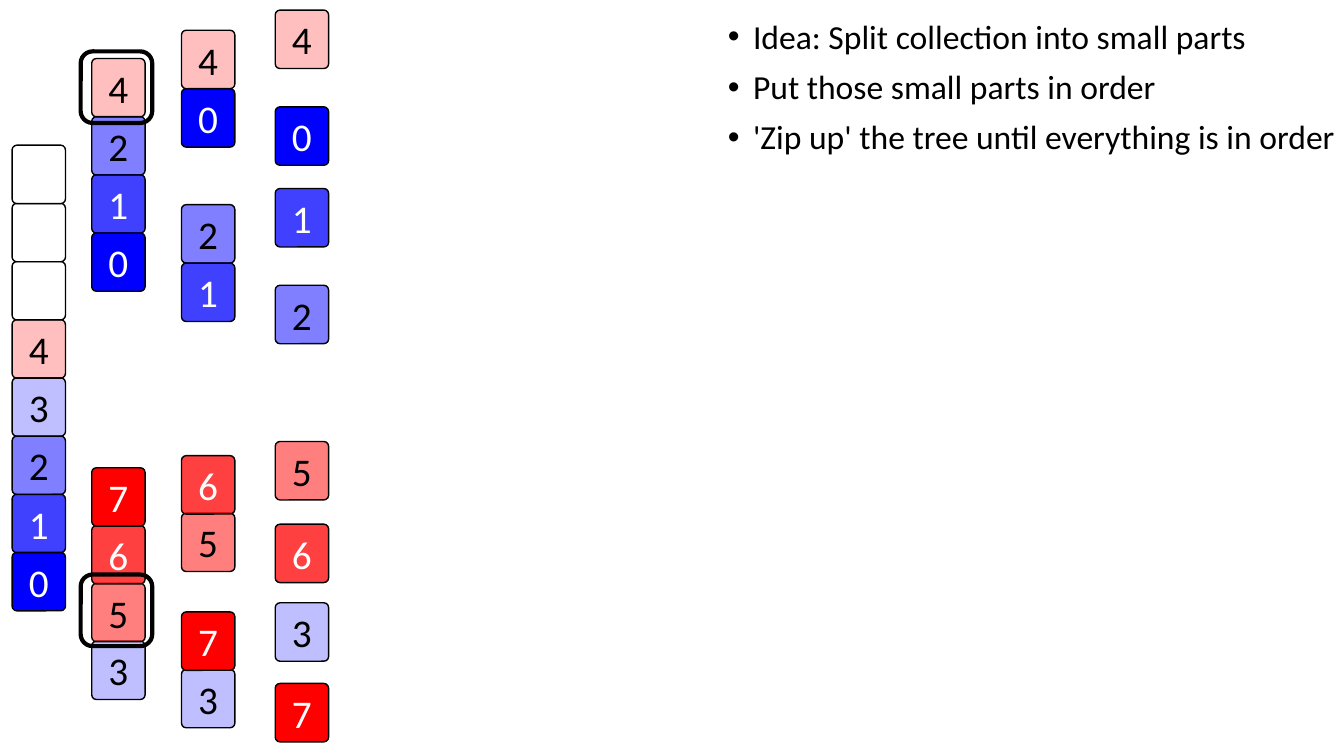
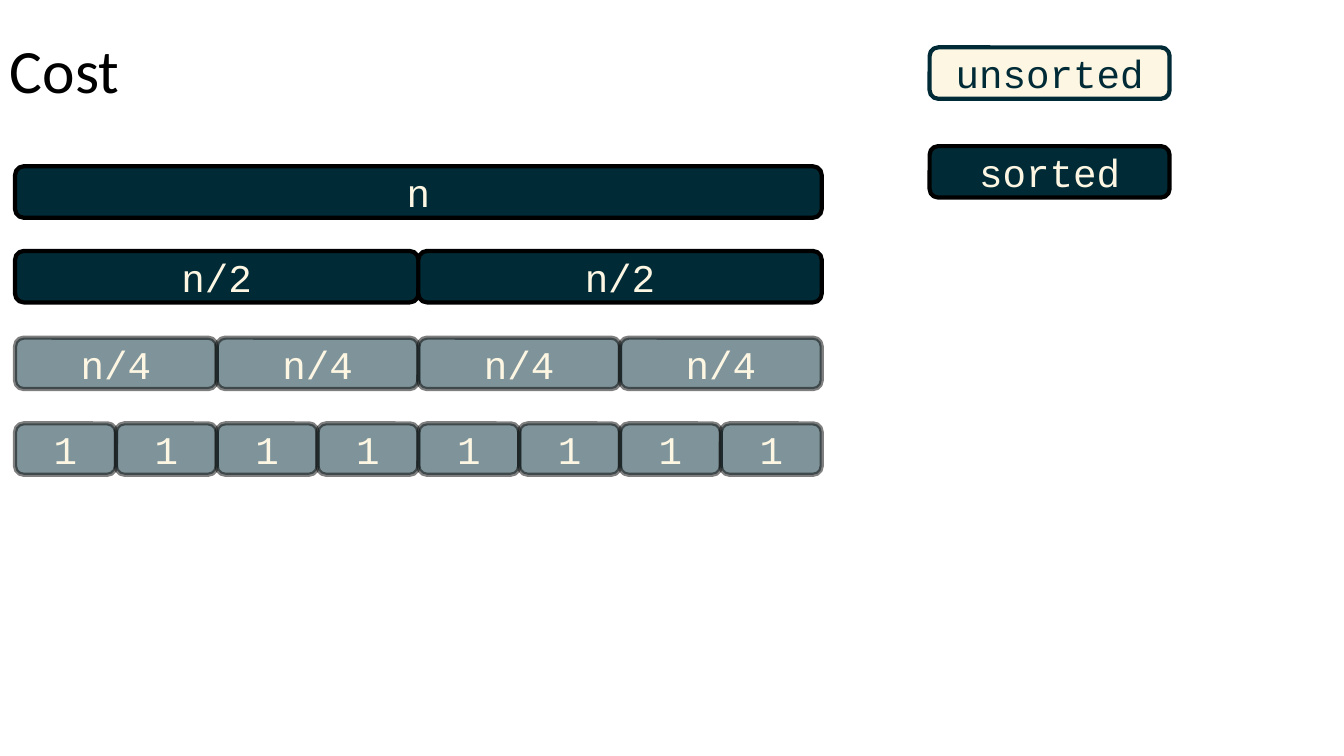
from lxml import etree
from pptx import Presentation
from pptx.dml.color import RGBColor
from pptx.enum import shapes, text
from pptx.oxml.ns import qn
from pptx.util import Inches, Pt

COLORS = {
    "black": "000000",
    "white": "FFFFFF",
    "low": "0000FF",
    "high": "FF0000",
    "dark": "002B36",
    "cream": "FDF6E3",
}
BODY_FONT = "Calibri"
CODE_FONT = "Courier New"
LABEL_SIZE = 28
TILE_WIDTH, TILE_HEIGHT = 0.53, 0.58
BAR_HEIGHT = 0.51

# Each stack: left, top of first tile, top of last tile, values (None is an empty tile)
STACKS = [
    (0.12, 1.44, 5.48, [None, None, None, 4, 3, 2, 1, 0]),
    (0.91, 0.58, 2.31, [4, 2, 1, 0]),
    (0.91, 4.64, 6.36, [7, 6, 5, 3]),
    (1.8, 0.3, 0.88, [4, 0]),
    (1.8, 2.03, 2.61, [2, 1]),
    (1.8, 4.52, 5.09, [6, 5]),
    (1.8, 6.07, 6.64, [7, 3]),
]
SINGLE_LEFT = 2.73
SINGLES = {4: 0.1, 0: 1.06, 1: 1.87, 2: 2.83, 5: 4.38, 6: 5.2, 3: 5.98, 7: 6.78}
IDEAS = [
    "Idea: Split collection into small parts",
    "Put those small parts in order",
    "'Zip up' the tree until everything is in order",
]
# Each level of the tree: top, label, number of parts, opacity
LEVELS = [(1.65, "n", 1, 100), (2.49, "n/2", 2, 100), (3.35, "n/4", 4, 50), (4.2, "1", 8, 50)]


def rgb(name):
    return RGBColor.from_string(COLORS[name])


def set_opacity(element, percent):
    """Make every colour inside the element partly transparent."""
    if percent < 100:
        for color in element.iter(qn("a:srgbClr")):
            etree.SubElement(color, qn("a:alpha")).set("val", str(percent * 1000))


def style_paragraph(paragraph, font_name, size, color):
    for run in paragraph.runs:
        run.font.name = font_name
        run.font.size = Pt(size)
        run.font.color.rgb = rgb(color)


def add_rounded(slide, box, fill, line="black", line_width=3):
    shape = slide.shapes.add_shape(
        shapes.MSO_SHAPE.ROUNDED_RECTANGLE, *(Inches(length) for length in box))
    shape.shadow.inherit = False
    if fill:
        shape.fill.solid()
        shape.fill.fore_color.rgb = rgb(fill)
    else:
        shape.fill.background()
    shape.line.color.rgb = rgb(line)
    shape.line.width = Pt(line_width)
    return shape


def add_label(shape, label, font_name, color):
    frame = shape.text_frame
    frame.margin_left = frame.margin_right = frame.margin_top = frame.margin_bottom = 0
    frame.vertical_anchor = text.MSO_ANCHOR.MIDDLE
    frame.text = label
    paragraph = frame.paragraphs[0]
    paragraph.alignment = text.PP_ALIGN.CENTER
    style_paragraph(paragraph, font_name, LABEL_SIZE, color)


def add_tile(slide, left, top, value):
    """Low values are blue and high ones red, stronger away from the middle."""
    fill = "white" if value is None else "low" if value < 4 else "high"
    tile = add_rounded(slide, (left, top, TILE_WIDTH, TILE_HEIGHT), fill, line_width=1)
    tile.adjustments[0] = 0.09
    if value is not None:
        opacity = 25 * (4 - value if value < 4 else value - 3)
        set_opacity(tile.element.spPr.find(qn("a:solidFill")), opacity)
        add_label(tile, str(value), BODY_FONT, "white" if opacity > 50 else "black")


def add_stack(slide, left, first_top, last_top, values):
    pitch = (last_top - first_top) / (len(values) - 1)
    for index in reversed(range(len(values))):
        add_tile(slide, left, first_top + index * pitch, values[index])


def add_bar(slide, left, top, width, label, fill="dark", ink="cream", line="black", opacity=100):
    bar = add_rounded(slide, (left, top, width, BAR_HEIGHT), fill, line)
    set_opacity(bar.element.spPr, opacity)
    add_label(bar, label, CODE_FONT, ink)


def add_text_box(slide, box, lines, size):
    frame = slide.shapes.add_textbox(*(Inches(length) for length in box)).text_frame
    frame.word_wrap = True
    frame.text = "\n".join(lines)
    for paragraph in frame.paragraphs:
        paragraph.line_spacing = 0.9
        style_paragraph(paragraph, BODY_FONT, size, "black")
    return frame


def add_bullets(slide, box, lines):
    frame = add_text_box(slide, box, lines, 24)
    for index, paragraph in enumerate(frame.paragraphs):
        paragraph.space_before = Pt(10 if index else 0)
        properties = paragraph._p.get_or_add_pPr()
        properties.set("marL", str(Inches(0.25)))
        properties.set("indent", str(Inches(-0.25)))
        etree.SubElement(properties, qn("a:buFont")).set("typeface", "Arial")
        etree.SubElement(properties, qn("a:buChar")).set("char", "•")


def build_merge_slide(slide):
    for stack in STACKS:
        add_stack(slide, *stack)
    for value, top in SINGLES.items():
        add_tile(slide, SINGLE_LEFT, top, value)
    for ring_top in (0.51, 5.7):
        add_rounded(slide, (0.8, ring_top, 0.71, 0.71), None)
    add_bullets(slide, (7.12, 0.15, 7.31, 4.76), IDEAS)


def build_cost_slide(slide):
    title = add_text_box(slide, (0, 0, 11.5, 1.45), ["Cost"], 44)
    title.vertical_anchor = text.MSO_ANCHOR.MIDDLE
    for top, label, parts, opacity in LEVELS:
        width = 8 / parts
        for index in range(parts):
            add_bar(slide, 0.15 + index * width, top, width, label, opacity=opacity)
    add_bar(slide, 9.22, 0.47, 2.38, "unsorted", fill="cream", ink="dark", line="dark")
    add_bar(slide, 9.22, 1.45, 2.38, "sorted")


def main():
    presentation = Presentation()
    presentation.slide_width = Inches(13.33)
    presentation.slide_height = Inches(7.5)
    blank = presentation.slide_layouts[6]
    for build in (build_merge_slide, build_cost_slide):
        build(presentation.slides.add_slide(blank))
    presentation.save("out.pptx")


if __name__ == "__main__":
    main()
